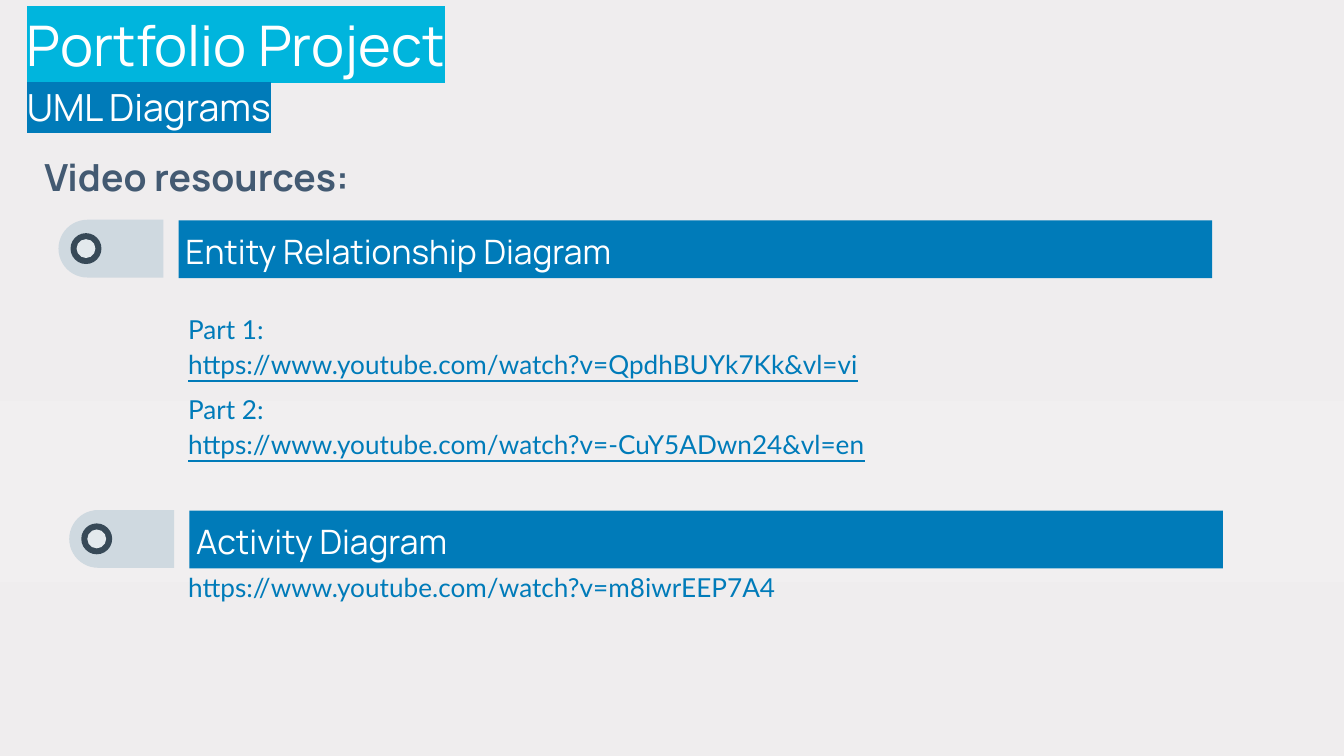
from lxml import etree
from pptx import Presentation
from pptx.dml.color import RGBColor
from pptx.enum.shapes import MSO_SHAPE
from pptx.enum.text import MSO_ANCHOR
from pptx.oxml.ns import qn
from pptx.util import Inches, Pt

RECT, OVAL = MSO_SHAPE.RECTANGLE, MSO_SHAPE.OVAL
TAB = MSO_SHAPE.ROUND_2_SAME_RECTANGLE
TOP, MIDDLE = MSO_ANCHOR.TOP, MSO_ANCHOR.MIDDLE
BLUE, CYAN, WHITE = "007BB9", "00B5DD", "FFFFFF"


def add_shape(kind, x, y, w, h, color):
    sp = s.shapes.add_shape(kind, Inches(x), Inches(y), Inches(w), Inches(h))
    sp.shadow.inherit = False
    sp.fill.solid()
    sp.fill.fore_color.rgb = RGBColor.from_string(color)
    sp.line.fill.background()
    return sp


def add_text(x, y, w, h, lines, font, size, color, anchor=MIDDLE, spacing=1.1):
    sp = s.shapes.add_textbox(Inches(x), Inches(y), Inches(w), Inches(h))
    tf = sp.text_frame
    tf.margin_left = tf.margin_top = tf.margin_right = tf.margin_bottom = 0
    tf.word_wrap = True
    tf.vertical_anchor = anchor
    tf.text = "\n".join(lines)
    for p in tf.paragraphs:
        p.line_spacing = spacing
        for r in p.runs:
            r.font.name = font
            r.font.size = Pt(size)
            r.font.color.rgb = RGBColor.from_string(color)
    return tf


prs = Presentation()
prs.slide_width = Inches(10)
prs.slide_height = Inches(10) * 9 // 16
s = prs.slides.add_slide(prs.slide_layouts[6])

# Background gradient, top to bottom
s.background.fill.gradient()
grad = s._element.xpath(".//p:bgPr/a:gradFill")[0]
stops = grad.find(qn("a:gsLst"))
for gs in list(stops):
    stops.remove(gs)
for pos, color in [(0, "EFEDEE"), (53, "F1EFF0"), (77, "EFEDEE"), (100, "EFEBEC")]:
    gs = etree.SubElement(stops, qn("a:gs"), pos=str(pos * 1000))
    etree.SubElement(gs, qn("a:srgbClr"), val=color)
grad.find(qn("a:lin")).set("ang", "5400000")

# Title and subtitle with highlighted text
tf = add_text(0.2, 0, 5.83, 1.11, ["Portfolio Project", "UML Diagrams"],
              "Manrope", 30, WHITE, TOP, 1.15)
for p, size, color in zip(tf.paragraphs, (30, 20), (CYAN, BLUE)):
    r = p.runs[0]
    r.font.size = Pt(size)
    highlight = etree.Element(qn("a:highlight"))
    etree.SubElement(highlight, qn("a:srgbClr"), val=color)
    r._r.rPr.find(qn("a:solidFill")).addnext(highlight)

# Section heading
tf = add_text(0.33, 1.08, 6.56, 0.43, ["Video resources:"], "Manrope", 20, "435A72")
tf.paragraphs[0].runs[0].font.bold = True

# Diagram bars, each with a rounded tab and a ring
for x, y, label in [(1.33, 1.64, "Entity Relationship Diagram"),
                    (1.41, 3.8, "Activity Diagram")]:
    add_shape(RECT, x, y, 7.69, 0.43, BLUE)
    add_text(x + 0.05, y, 6.43, 0.43, [label], "Manrope", 18, WHITE)
    tab = add_shape(TAB, x - 0.72, y - 0.18, 0.43, 0.78, "CFD9E0")
    tab.adjustments[0] = 0.5
    tab.rotation = 270
    for size, color in [(0.23, "374957"), (0.14, "E3E9ED")]:
        add_shape(OVAL, x - 0.69 - size / 2, y + 0.21 - size / 2, size, size, color)

# Video links
links = ["Part 1:\vhttps://www.youtube.com/watch?v=QpdhBUYk7Kk&vl=vi",
         "Part 2:\vhttps://www.youtube.com/watch?v=-CuY5ADwn24&vl=en"]
tf = add_text(1.4, 2.31, 7.93, 1.12, links, "Lato", 14, BLUE, TOP)
for p in tf.paragraphs:
    p.runs[1].font.underline = True
tf.paragraphs[1].space_before = Pt(6)
add_text(1.4, 4.23, 7.93, 0.28, ["https://www.youtube.com/watch?v=m8iwrEEP7A4"],
         "Lato", 14, BLUE, TOP)

prs.save("out.pptx")
